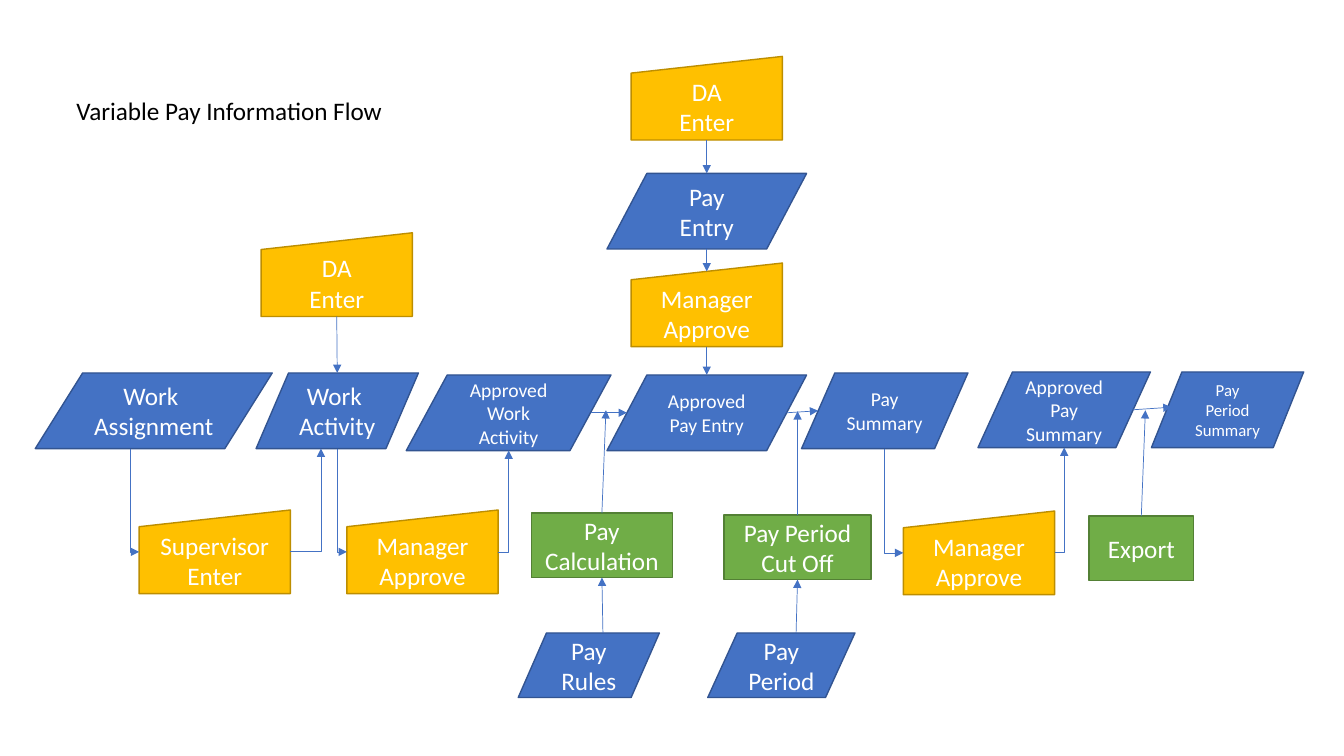
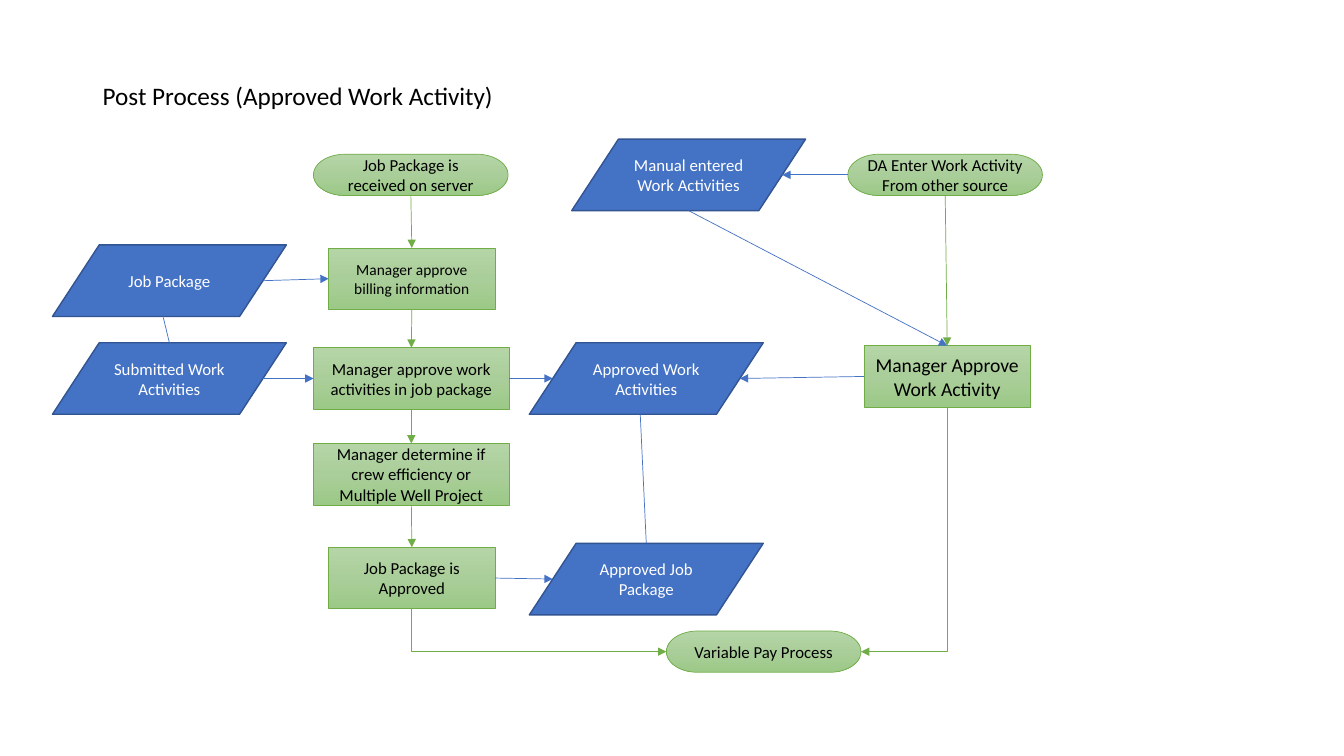
"""Build two pay-process flowcharts as editable slides."""
from copy import deepcopy
from dataclasses import dataclass
from typing import NamedTuple

from lxml import etree
from pptx import Presentation
from pptx import util as u
from pptx.dml.color import RGBColor
from pptx.enum import shapes, text
from pptx.oxml.ns import qn

FONT = "Calibri"
BLUE, GREEN, BLACK, WHITE = "4472C4", "70AD47", "000000", "FFFFFF"
SOFT = ("B5D5A7", "AACE9A", "9CC987")
FORM = shapes.MSO_SHAPE
SITES = {"t": 0, "l": 1, "b": 2, "r": 3}
SPOTS = {"t": (0.5, 0), "l": (0, 0.5), "b": (0.5, 1), "r": (1, 0.5)}
SLANT = SPOTS | {"l": (0.1, 0.5), "r": (0.9, 0.5), "tr": (0.6, 0), "bl": (0.4, 1)}
SLOPE = SPOTS | {"t": (0.5, 0.1)}


class Look(NamedTuple):
    form: FORM
    fills: tuple[str, ...]
    edge: str
    weight: float
    ink: str
    spots: dict
    joins: str


LOOKS = {
    "data": Look(FORM.FLOWCHART_DATA, (BLUE,), "325491", 1, WHITE, SLANT, ""),
    "enter": Look(FORM.FLOWCHART_MANUAL_INPUT, ("FFC000",), "BD8E00", 1, WHITE, SLOPE, "lbr"),
    "process": Look(FORM.FLOWCHART_PROCESS, (GREEN,), "538035", 1, WHITE, SPOTS, "tlbr"),
    "step": Look(FORM.FLOWCHART_PROCESS, SOFT, GREEN, 0.5, BLACK, SPOTS, "tlbr"),
    "end": Look(FORM.FLOWCHART_TERMINATOR, SOFT, GREEN, 0.5, BLACK, SPOTS, "tlbr"),
}


@dataclass
class Node:
    key: str
    kind: str
    x: float
    y: float
    w: float
    h: float
    words: str
    size: float = 18

    def spot(self, side: str) -> tuple[float, float]:
        across, down = LOOKS[self.kind].spots[side]
        return self.x + across * self.w, self.y + down * self.h


End = tuple


class Link(NamedTuple):
    start: End
    stop: End
    tint: str = BLUE
    bend: str = ""
    arrow: bool = True


class Chart(NamedTuple):
    title: str
    at: tuple[float, float]
    nodes: list[Node]
    links: list[Link]


PAY = Chart("Variable Pay Information Flow", (0.66, 0.9), [
    Node("assign", "data", 0.35, 3.7, 2.35, 0.75, "Work \nAssignment"),
    Node("work", "data", 2.54, 3.7, 1.61, 0.75, "Work \nActivity"),
    Node("passed", "data", 4.03, 3.72, 2.03, 0.75, "Approved Work Activity", 14),
    Node("payment", "data", 6.02, 3.72, 1.98, 0.75, "Approved Pay Entry", 14),
    Node("sum", "data", 7.95, 3.7, 1.65, 0.75, "Pay\nSummary", 14),
    Node("signed", "data", 9.7, 3.69, 1.71, 0.75, "Approved Pay\nSummary", 14),
    Node("total", "data", 11.42, 3.69, 1.51, 0.75, "Pay Period Summary", 12),
    Node("entry", "data", 6.02, 1.72, 1.98, 0.75, "Pay\nEntry"),
    Node("rules", "data", 5.14, 6.28, 1.4, 0.64, "Pay\nRules"),
    Node("period", "data", 7.02, 6.28, 1.46, 0.64, "Pay\nPeriod"),
    Node("calc", "process", 5.27, 5.09, 1.4, 0.64, "Pay Calculation"),
    Node("cutoff", "process", 7.18, 5.11, 1.46, 0.64, "Pay Period\nCut Off"),
    Node("export", "process", 10.8, 5.12, 1.04, 0.64, "Export"),
    Node("boss", "enter", 1.38, 5.06, 1.5, 0.83, "Supervisor\nEnter"),
    Node("check", "enter", 3.44, 5.06, 1.5, 0.83, "Manager Approve"),
    Node("sign", "enter", 8.96, 5.07, 1.5, 0.83, "Manager Approve"),
    Node("log", "enter", 2.59, 2.31, 1.5, 0.83, "DA\nEnter"),
    Node("input", "enter", 6.26, 0.56, 1.5, 0.83, "DA\nEnter"),
    Node("allow", "enter", 6.26, 2.61, 1.5, 0.83, "Manager\nApprove"),
], [
    Link(("passed", "r"), ("payment", "l")),
    Link(("payment", "r"), ("sum", "l")),
    Link(("signed", "r"), (11.62, 4.04)),
    Link(("calc", "t"), (6.01, 4.07)),
    Link(("cutoff", "t"), (7.91, 4.08)),
    Link(("export", "t"), (11.36, 4.07)),
    Link(("rules", "tr"), ("calc", "b")),
    Link(("period", "tr"), ("cutoff", "b")),
    Link(("log", "b"), ("work", "t")),
    Link(("input", "b"), ("entry", "t")),
    Link(("entry", "b"), ("allow", "t")),
    Link(("allow", "b"), ("payment", "t")),
    Link(("assign", "bl"), ("boss", "l"), bend="down"),
    Link(("boss", "r"), ("work", "bl"), bend="across"),
    Link(("work", "b"), ("check", "l"), bend="down"),
    Link(("check", "r"), ("passed", "b"), bend="across"),
    Link(("sum", "b"), ("sign", "l"), bend="down"),
    Link(("sign", "r"), ("signed", "b"), bend="across"),
])

POST = Chart("Post Process (Approved Work Activity)", (0.92, 0.75), [
    Node("receive", "end", 3.11, 1.53, 1.93, 0.41, "Job Package is received on server", 12),
    Node("other", "end", 8.41, 1.53, 1.93, 0.41, "DA Enter Work Activity From other source", 12),
    Node("finish", "end", 6.61, 6.26, 1.93, 0.41, "Variable Pay Process", 12),
    Node("bill", "step", 3.26, 2.46, 1.65, 0.61, "Manager approve billing information", 11),
    Node("review", "step", 3.11, 3.45, 1.94, 0.61,
         "Manager approve work activities in job package", 12),
    Node("decide", "step", 3.11, 4.4, 1.94, 0.61,
         "Manager determine if crew efficiency or Multiple Well Project", 12),
    Node("done", "step", 3.26, 5.43, 1.65, 0.61, "Job Package is Approved", 12),
    Node("sign", "step", 8.57, 3.43, 1.65, 0.61, "Manager Approve Work Activity", 14),
    Node("job", "data", 0.52, 2.43, 2.32, 0.71, "Job Package", 12),
    Node("sent", "data", 0.52, 3.4, 2.32, 0.71, "Submitted Work Activities", 12),
    Node("passed", "data", 5.25, 3.4, 2.32, 0.71, "Approved Work Activities", 12),
    Node("pack", "data", 5.25, 5.39, 2.32, 0.71, "Approved Job Package", 12),
    Node("manual", "data", 5.67, 1.38, 2.32, 0.71, "Manual entered Work Activities", 12),
], [
    Link(("receive", "b"), ("bill", "t"), GREEN),
    Link(("bill", "b"), ("review", "t"), GREEN),
    Link(("review", "b"), ("decide", "t"), GREEN),
    Link(("decide", "b"), ("done", "t"), GREEN),
    Link(("other", "b"), ("sign", "t"), GREEN),
    Link(("job", "r"), ("bill", "l")),
    Link(("sent", "r"), ("review", "l")),
    Link(("review", "r"), ("passed", "l")),
    Link(("done", "r"), ("pack", "l")),
    Link(("other", "l"), ("manual", "r")),
    Link(("sign", "l"), ("passed", "r")),
    Link(("manual", "b"), ("sign", "t")),
    Link((1.62, 3.15), ("sent", "t"), arrow=False),
    Link((6.35, 4.11), ("pack", "t"), arrow=False),
    Link(("done", "b"), ("finish", "l"), GREEN, "down"),
    Link(("sign", "b"), ("finish", "r"), GREEN, "down"),
])


def tone(code: str) -> RGBColor:
    return RGBColor.from_string(code)


def write(frame, words: str, *, size: float = 18, ink: str = BLACK,
          align=text.PP_ALIGN.LEFT, anchor=text.MSO_ANCHOR.TOP) -> None:
    frame.word_wrap = True
    frame.vertical_anchor = anchor
    for i, line in enumerate(words.split("\n")):
        para = frame.add_paragraph() if i else frame.paragraphs[0]
        para.alignment = align
        run = para.add_run()
        run.text = line
        run.font.name, run.font.size = FONT, u.Pt(size)
        run.font.color.rgb = tone(ink)


def paint(shape, fills: tuple[str, ...]) -> None:
    if len(fills) == 1:
        shape.fill.solid()
        shape.fill.fore_color.rgb = tone(fills[0])
        return
    shape.fill.gradient()
    shape.fill.gradient_angle = 270
    stops = shape._element.spPr.find(".//" + qn("a:gsLst"))
    stops.insert(1, deepcopy(stops[0]))
    for i, (stop, code) in enumerate(zip(shape.fill.gradient_stops, fills)):
        stop.position = i / (len(fills) - 1)
        stop.color.rgb = tone(code)


def place(slide, node: Node):
    look = LOOKS[node.kind]
    box = [u.Inches(n) for n in (node.x, node.y, node.w, node.h)]
    shape = slide.shapes.add_shape(look.form, *box)
    shape.shadow.inherit = False
    paint(shape, look.fills)
    shape.line.color.rgb = tone(look.edge)
    shape.line.width = u.Pt(look.weight)
    write(shape.text_frame, node.words, size=node.size, ink=look.ink,
          align=text.PP_ALIGN.CENTER, anchor=text.MSO_ANCHOR.MIDDLE)
    return shape


def draw(slide, link: Link, nodes: dict[str, Node], made: dict) -> None:
    ends = (link.start, link.stop)
    (x1, y1), (x2, y2) = (nodes[e[0]].spot(e[1]) if e[0] in nodes else e for e in ends)
    turn = 0
    if link.bend == "down":
        turn = 270 if x2 > x1 else 90
        midx, midy = (x1 + x2) / 2, (y1 + y2) / 2
        wide = (y2 - y1) / 2 * (1 if x2 > x1 else -1)
        tall = abs(x2 - x1) / 2
        x1, y1, x2, y2 = midx + wide, midy - tall, midx - wide, midy + tall
    kind = shapes.MSO_CONNECTOR.ELBOW if link.bend else shapes.MSO_CONNECTOR.STRAIGHT
    wire = slide.shapes.add_connector(kind, *(u.Inches(n) for n in (x1, y1, x2, y2)))
    wire.line.color.rgb = tone(link.tint)
    wire.line.width = u.Pt(0.5)
    props = wire._element.spPr
    etree.SubElement(props, qn("a:effectLst"))
    if link.arrow:
        etree.SubElement(wire.line._get_or_add_ln(), qn("a:tailEnd"), type="triangle")
    if link.bend:
        props.find(qn("a:prstGeom")).set("prst", "bentConnector2")
        props.find(qn("a:xfrm")).set("rot", str(turn * 60000))
        return
    for end, join in zip(ends, (wire.begin_connect, wire.end_connect)):
        if end[0] in nodes and end[1] in LOOKS[nodes[end[0]].kind].joins:
            join(made[end[0]], SITES[end[1]])


def build(deck, chart: Chart) -> None:
    slide = deck.slides.add_slide(deck.slide_layouts[6])
    nodes = {node.key: node for node in chart.nodes}
    made = {key: place(slide, node) for key, node in nodes.items()}
    for link in chart.links:
        draw(slide, link, nodes, made)
    box = slide.shapes.add_textbox(*(u.Inches(n) for n in (*chart.at, 5.59, 0.4)))
    write(box.text_frame, chart.title)


def main() -> None:
    deck = Presentation()
    deck.slide_width, deck.slide_height = u.Inches(13.33), u.Inches(7.5)
    for chart in (PAY, POST):
        build(deck, chart)
    deck.save("out.pptx")


if __name__ == "__main__":
    main()
